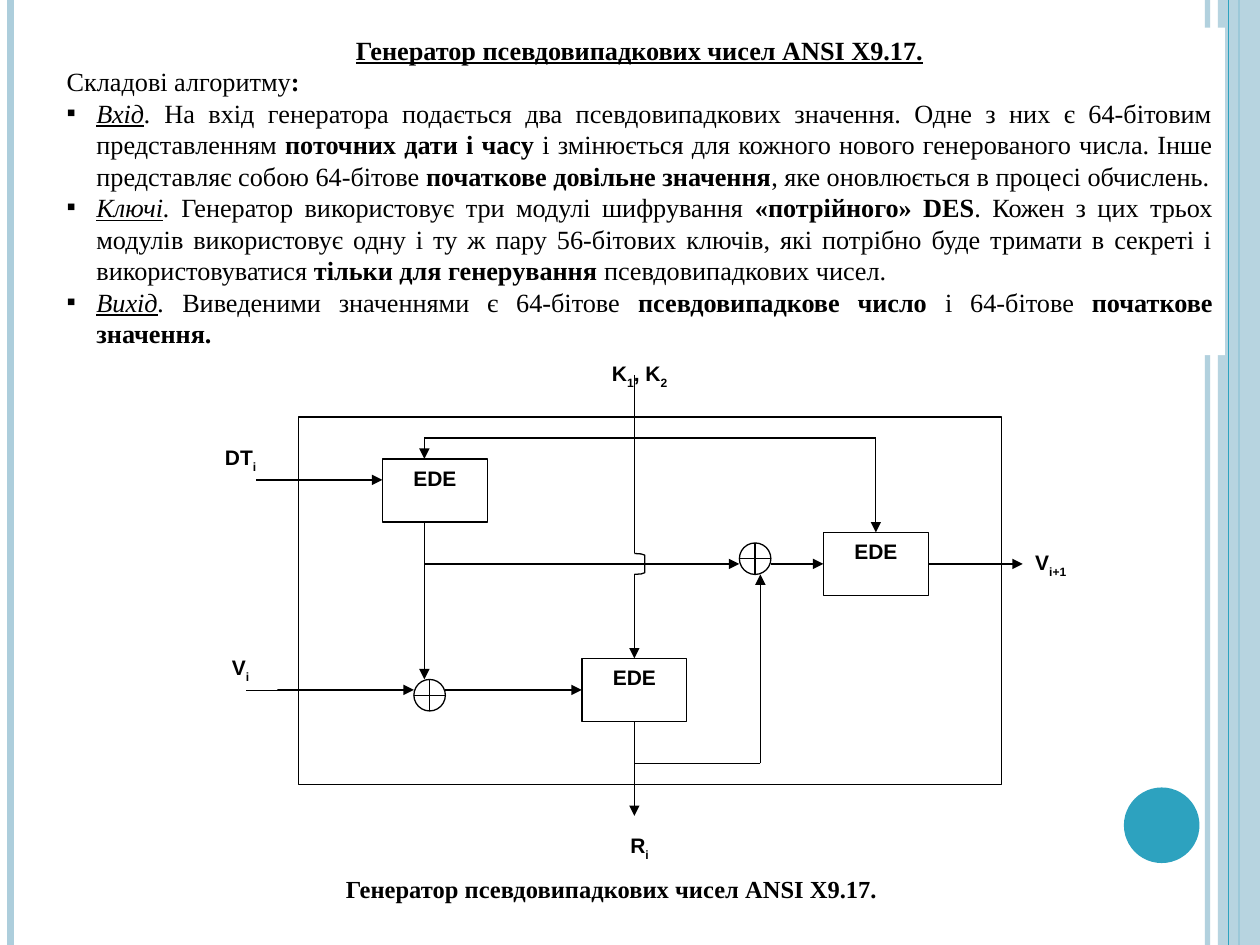
import pptx
import pptx.util
import pptx.dml.color
import pptx.enum.shapes
import pptx.enum.text
import pptx.oxml
import pptx.oxml.ns

Pt = pptx.util.Pt
RGBColor = pptx.dml.color.RGBColor
SHAPE = pptx.enum.shapes.MSO_SHAPE
ALIGN = pptx.enum.text.PP_ALIGN
ANCHOR = pptx.enum.text.MSO_ANCHOR
FIT = pptx.enum.text.MSO_AUTO_SIZE
qn = pptx.oxml.ns.qn

BLACK = RGBColor(0x00, 0x00, 0x00)
WHITE = RGBColor(0xFF, 0xFF, 0xFF)
PALE = RGBColor(0xAD, 0xCE, 0xDC)
TEAL = RGBColor(0x2D, 0xA2, 0xBF)
SERIF, SANS = "Times New Roman", "Arial"
TOP, LEFT, BOTTOM, RIGHT = range(4)

HEADING = [("Генератор псевдовипадкових чисел ANSI Х9.17.", "bu")]
LEAD = [("Складові алгоритму", ""), (":", "b")]
BULLETS = [
    [("Вхід", "iu"), (". ", "i"),
     ("На вхід генератора подається два псевдовипадкових значення. "
      "Одне з них є 64-бітовим представленням ", ""),
     ("поточних дати і часу ", "b"),
     ("і змінюється для кожного нового генерованого числа. "
      "Інше представляє собою 64-бітове ", ""),
     ("початкове довільне значення", "b"),
     (", яке оновлюється в процесі обчислень.", "")],
    [("Ключі", "iu"), (". ", "i"),
     ("Генератор використовує три модулі шифрування ", ""),
     ("«потрійного» DES", "b"),
     (". Кожен з цих трьох модулів використовує одну і ту ж пару 56-бітових ключів, "
      "які потрібно буде тримати в секреті і використовуватися ", ""),
     ("тільки для генерування ", "b"),
     ("псевдовипадкових чисел.", "")],
    [("Вихід", "iu"), (". ", "i"),
     ("Виведеними значеннями є 64-бітове ", ""),
     ("псевдовипадкове число ", "b"),
     ("і 64-бітове ", ""),
     ("початкове значення.", "b")],
]


def add_xml(parent, tag, **attributes):
    """Append a drawing element to a parent and return it."""
    child = pptx.oxml.parse_xml(f"<a:{tag} {pptx.oxml.ns.nsdecls('a')}/>")
    for name, value in attributes.items():
        child.set(name, str(value))
    parent.append(child)
    return child


def set_alpha(shape, percent):
    """Make the first colour of a shape partly transparent."""
    colour = next(shape._element.spPr.iter(qn("a:srgbClr")))
    add_xml(colour, "alpha", val=percent * 1000)


def add_block(shapes, kind, left, top, width, height, fill=WHITE, outline=None):
    """Add a flat preset shape."""
    shape = shapes.add_shape(kind, Pt(left), Pt(top), Pt(width), Pt(height))
    shape.shadow.inherit = False
    shape.fill.solid()
    shape.fill.fore_color.rgb = fill
    if outline is None:
        shape.line.fill.background()
    else:
        shape.line.color.rgb = outline
        shape.line.width = Pt(0.75)
    return shape


def add_line(shapes, start, end, colour=BLACK, weight=0.75, arrow=False):
    """Add a straight line, with an arrowhead at its end if asked."""
    line = shapes.add_connector(pptx.enum.shapes.MSO_CONNECTOR.STRAIGHT,
                                *(Pt(value) for value in (*start, *end)))
    line.line.color.rgb = colour
    line.line.width = Pt(weight)
    if arrow:
        add_xml(line._element.spPr.find(qn("a:ln")), "tailEnd", type="triangle")
    add_xml(line._element.spPr, "effectLst")
    return line


def write_spans(para, spans, size, font):
    """Fill a paragraph with spans styled b, i, u or s (subscript)."""
    for text, style in spans:
        span = para.add_run()
        span.text = text
        span.font.size = Pt(size)
        span.font.name = font
        span.font.color.rgb = BLACK
        span.font.bold = "b" in style
        span.font.italic = "i" in style
        span.font.underline = "u" in style
        if "s" in style:
            span._r.get_or_add_rPr().set("baseline", "-30000")


def write_label(shape, spans, align=ALIGN.CENTER):
    """Write a diagram label at the top of its shape."""
    frame = shape.text_frame
    frame.word_wrap = True
    frame.vertical_anchor = ANCHOR.TOP
    frame.paragraphs[0].alignment = align
    write_spans(frame.paragraphs[0], spans, 12, SANS)


def draw_decor(page, width, height):
    """Draw the side stripes and the disc of the theme."""
    def stripe(x, colour, weight):
        return add_line(page.shapes, (x, 0), (x, height), colour, weight)

    set_alpha(stripe(width - 30, PALE, 3), 93)
    stripe(6, PALE, 4.5)
    stripe(width - 12, TEAL, 1.5)
    band = add_block(page.shapes, SHAPE.RECTANGLE, width - 24, 0, 24, height, PALE)
    set_alpha(band, 87)
    stripe(width - 18, TEAL, 0.75)
    add_block(page.shapes, SHAPE.OVAL, width - 77.75, height - 90, 43.2, 43.2, TEAL)


def draw_description(page, left, top, width, height):
    """Write the heading, the lead line and the bulleted parts."""
    box = add_block(page.shapes, SHAPE.RECTANGLE, left, top, width, height)
    frame = box.text_frame
    frame.word_wrap = True
    frame.auto_size = FIT.SHAPE_TO_FIT_TEXT
    frame.vertical_anchor = ANCHOR.MIDDLE
    for index, spans in enumerate([HEADING, LEAD, *BULLETS]):
        para = frame.add_paragraph() if index else frame.paragraphs[0]
        para.alignment = ALIGN.JUSTIFY if index else ALIGN.CENTER
        para.line_spacing = Pt(18)
        write_spans(para, spans, 15, SERIF)
        if index > 1:
            props = para._p.get_or_add_pPr()
            props.set("marL", str(Pt(17)))
            props.set("indent", str(-Pt(17)))
            add_xml(add_xml(props, "buClr"), "srgbClr", val=BLACK)
            add_xml(props, "buFont", typeface=SERIF)
            add_xml(props, "buChar", char="▪")


def draw_diagram(page, left, top):
    """Draw the generator scheme on a grid of six points."""
    shapes = page.shapes.add_group_shape().shapes

    def block(kind, x, y, width, height, outline=BLACK):
        return add_block(shapes, kind, left + x, top + y, width, height, outline=outline)

    def label(x, y, width, name, index, align=ALIGN.CENTER):
        write_label(block(SHAPE.RECTANGLE, x, y, width, 24, None),
                    [(name, "b"), (index, "bs")], align)

    def wire(x1, y1, x2, y2, arrow=True):
        return add_line(shapes, (left + x1, top + y1), (left + x2, top + y2), arrow=arrow)

    label(0, 48, 42, "DT", "i")
    write_label(block(SHAPE.RECTANGLE, 222, 0, 54, 24, None),
                [("K", "b"), ("1", "bs"), (", K", "b"), ("2", "bs")])
    block(SHAPE.RECTANGLE, 54, 36, 402, 210)
    ciphers = [block(SHAPE.RECTANGLE, x, y, 60, 36)
               for x, y in ((102, 60), (354, 102), (216, 174))]
    for cipher in ciphers:
        write_label(cipher, [("EDE", "b")])
    _, output, middle = ciphers
    for x, y in ((120, 186), (306, 108)):
        block(SHAPE.FLOWCHART_OR, x, y, 18, 18)

    for ends in ((126, 48, 384, 48), (246, 12, 246, 114), (246, 234, 318, 234)):
        wire(*ends, arrow=False)
    for ends in ((126, 96, 126, 186), (126, 48, 126, 60), (126, 120, 306, 120),
                 (318, 234, 318, 126), (30, 72, 102, 72), (24, 192, 120, 192)):
        wire(*ends)
    wire(138, 192, 216, 192).end_connect(middle, LEFT)
    wire(246, 126, 246, 174).end_connect(middle, TOP)
    wire(246, 210, 246, 264).begin_connect(middle, BOTTOM)
    wire(384, 48, 384, 102).end_connect(output, TOP)
    wire(324, 120, 354, 120).end_connect(output, LEFT)
    wire(414, 120, 468, 120).begin_connect(output, RIGHT)

    arc = [(250, 114.3), (252, 115), (252, 125), (250, 125.7), (246, 126)]
    builder = shapes.build_freeform(Pt(left + 246), Pt(top + 114))
    builder.add_line_segments([(Pt(left + x), Pt(top + y)) for x, y in arc], close=False)
    bridge = builder.convert_to_shape()
    bridge.shadow.inherit = False
    bridge.fill.background()
    bridge.line.color.rgb = BLACK
    bridge.line.width = Pt(0.75)

    label(0, 168, 42, "V", "i")
    label(228, 270, 42, "R", "i")
    label(468, 108, 42, "V", "i+1", ALIGN.LEFT)


def draw_caption(page, left, top, width, height):
    """Write the caption below the scheme."""
    box = add_block(page.shapes, SHAPE.RECTANGLE, left, top, width, height)
    frame = box.text_frame
    frame.word_wrap = False
    frame.auto_size = FIT.SHAPE_TO_FIT_TEXT
    frame.vertical_anchor = ANCHOR.MIDDLE
    frame.paragraphs[0].alignment = ALIGN.CENTER
    write_spans(frame.paragraphs[0],
                [("Генератор псевдовипадкових чисел ANSI X9.17.", "b")], 14, SERIF)


def main():
    """Build the slide and save the deck."""
    deck = pptx.Presentation()
    deck.slide_width, deck.slide_height = Pt(720), Pt(540)
    page = deck.slides.add_slide(deck.slide_layouts[6])
    draw_decor(page, 720, 540)
    draw_description(page, 31, 15.75, 669, 187.2)
    draw_diagram(page, 116.5, 202.25)
    draw_caption(page, 187.5, 495.5, 324, 24.5)
    deck.save("out.pptx")


if __name__ == "__main__":
    main()
